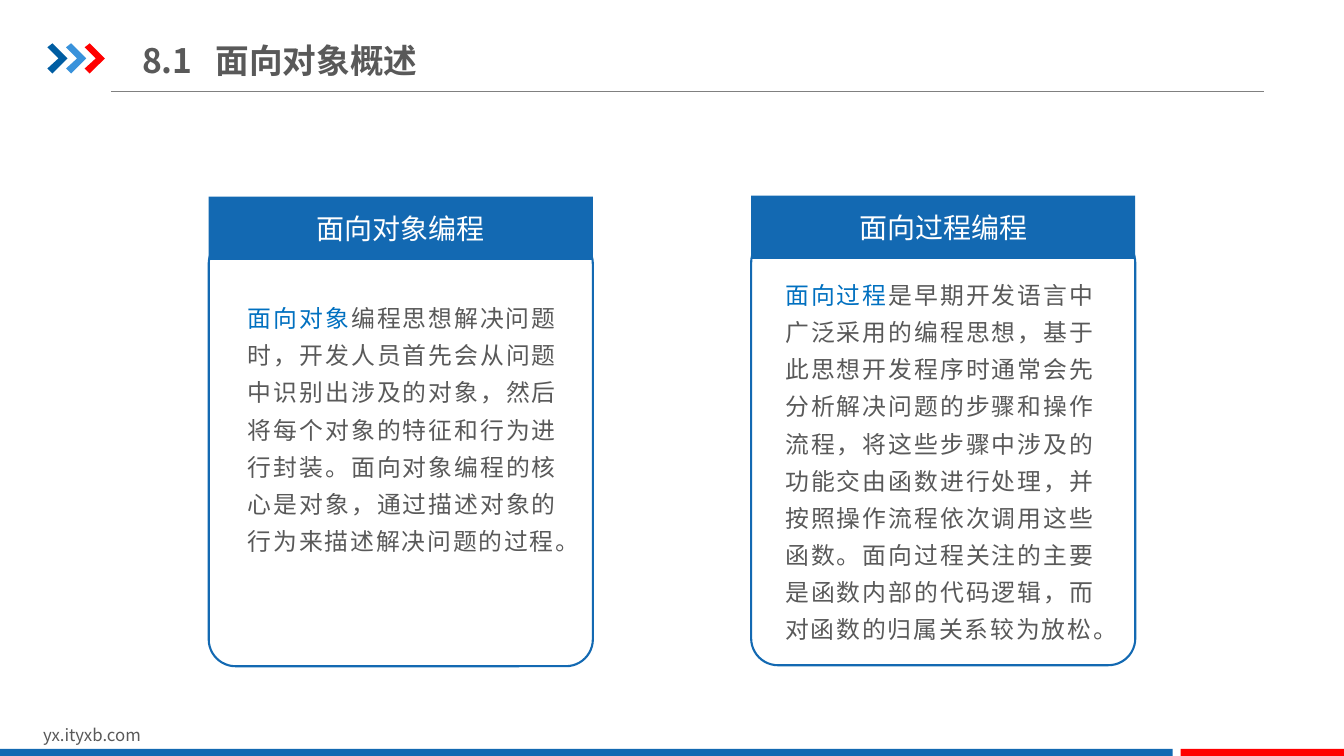
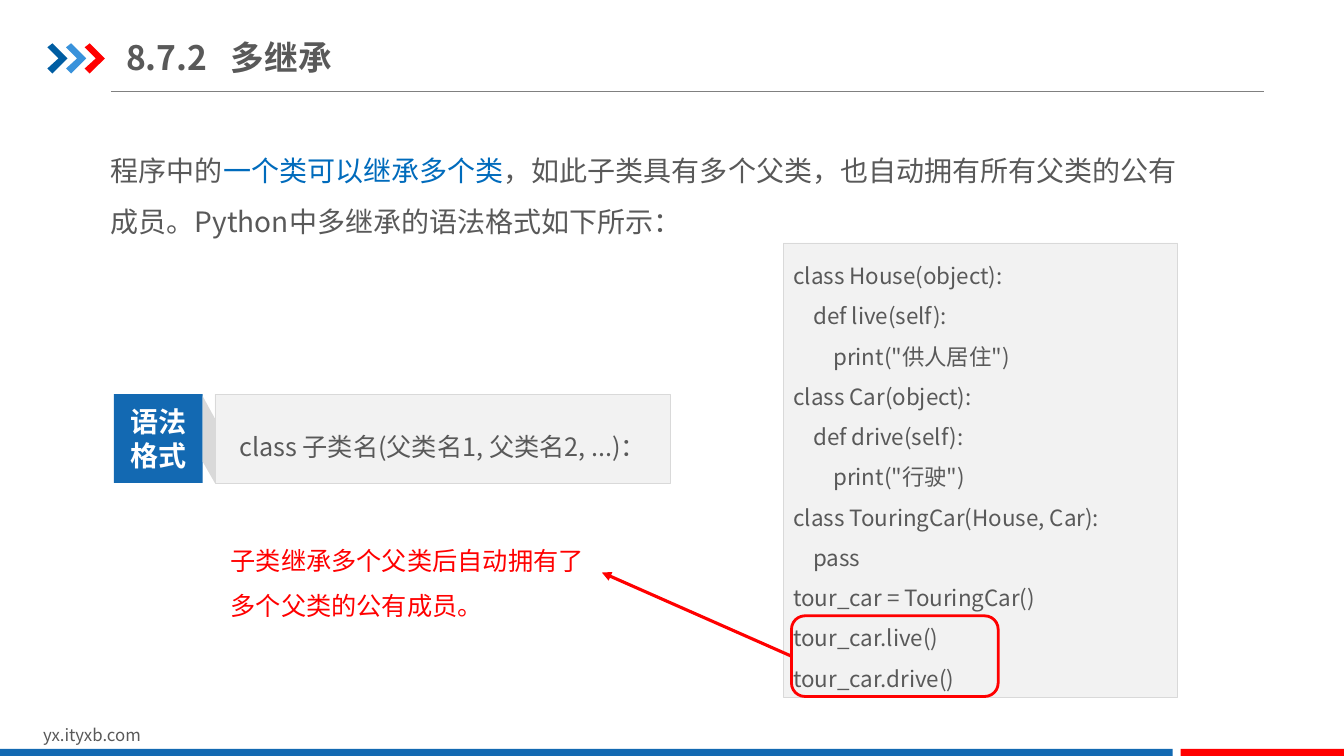
"""Build two slides on object-oriented programming and multiple inheritance."""
from lxml import etree
from pptx import Presentation
from pptx.dml.color import RGBColor
from pptx.enum import shapes, text
from pptx.oxml.ns import qn
from pptx.util import Inches, Pt

FONT = "Noto Sans CJK SC"
BLUE = RGBColor(0x13, 0x69, 0xB2)
NAVY = RGBColor(0x00, 0x5D, 0xA2)
SKY = RGBColor(0x39, 0x92, 0xDB)
ACCENT = RGBColor(0x00, 0x70, 0xC0)
KEYWORD = RGBColor(0x00, 0x6B, 0xBC)
RED = RGBColor(0xFF, 0x00, 0x00)
WHITE = RGBColor(0xFF, 0xFF, 0xFF)
INK = RGBColor(0x59, 0x59, 0x59)
RULE = RGBColor(0x80, 0x80, 0x80)
PALE = RGBColor(0xF2, 0xF2, 0xF2)
EDGE = RGBColor(0xD9, 0xD9, 0xD9)

RECT = shapes.MSO_SHAPE.RECTANGLE
ROUND = shapes.MSO_SHAPE.ROUNDED_RECTANGLE
LEFT, CENTER, JUSTIFY = (text.PP_ALIGN.LEFT, text.PP_ALIGN.CENTER,
                         text.PP_ALIGN.JUSTIFY)
TOP, MIDDLE = text.MSO_ANCHOR.TOP, text.MSO_ANCHOR.MIDDLE

SITE = "yx.ityxb.com"
CHEVRON = [(0, 0.04), (0.05, 0), (0.2, 0.15), (0.05, 0.3), (0, 0.25), (0.11, 0.15)]
FOLD = [(0.12, 0.22), (0.12, 0.86), (0, 0.65), (0, 0)]

CARDS = [
    {"header": "面向对象编程", "at": (2.07, 1.95), "body_at": (2.36, 2.88),
     "body_height": 2.84,
     "body": [("面向对象", ACCENT),
              ("编程思想解决问题时，开发人员首先会从问题中识别出涉及的对象，"
               "然后将每个对象的特征和行为进行封装。面向对象编程的核心是对象，"
               "通过描述对象的行为来描述解决问题的过程。", INK)]},
    {"header": "面向过程编程", "at": (7.45, 1.94), "body_at": (7.69, 2.65),
     "body_height": 3.78,
     "body": [("面向过程", ACCENT),
              ("是早期开发语言中广泛采用的编程思想，基于此思想开发程序时通常会先"
               "分析解决问题的步骤和操作流程，将这些步骤中涉及的功能交由函数进行处理，"
               "并按照操作流程依次调用这些函数。面向过程关注的主要是函数内部的代码逻辑，"
               "而对函数的归属关系较为放松。", INK)]},
]

INTRO = [("程序中的", INK), ("一个类可以继承多个类", KEYWORD),
         ("，如此子类具有多个父类，也自动拥有所有父类的公有成员。"
          "Python中多继承的语法格式如下所示：", INK)]
SYNTAX = "class 子类名(父类名1, 父类名2, ...)："
NOTE = "子类继承多个父类后自动拥有了多个父类的公有成员。"
CODE = [
    "class House(object):",
    "    def live(self):",
    "        print(\"供人居住\")",
    "class Car(object):",
    "    def drive(self):",
    "        print(\"行驶\")",
    "class TouringCar(House, Car):",
    "    pass",
    "tour_car = TouringCar()",
    "tour_car.live()",
    "tour_car.drive()",
]


def box(values):
    return [Inches(v) for v in values]


def write(sp, paragraphs, size, color=INK, align=LEFT, anchor=TOP, spacing=None,
          bold=False, insets=(0.1, 0.05)):
    """Fill a shape with paragraphs, each a string or a list of (text, colour) runs."""
    tf = sp.text_frame
    tf.word_wrap = True
    tf.auto_size = text.MSO_AUTO_SIZE.NONE
    tf.vertical_anchor = anchor
    tf.margin_left = tf.margin_right = Inches(insets[0])
    tf.margin_top = tf.margin_bottom = Inches(insets[1])
    for i, content in enumerate(paragraphs):
        p = tf.add_paragraph() if i else tf.paragraphs[0]
        p.alignment = align
        if spacing:
            p.line_spacing = spacing
        runs = [(content, color)] if isinstance(content, str) else content
        for words, run_color in runs:
            r = p.add_run()
            r.text = words
            r.font.size, r.font.bold, r.font.name = Pt(size), bold, FONT
            r.font.color.rgb = run_color
            etree.SubElement(r._r.get_or_add_rPr(), qn("a:ea"), typeface=FONT)


def paint(sp, fill=None, line=None, width=1):
    sp.shadow.inherit = False
    if fill is None:
        sp.fill.background()
    else:
        sp.fill.solid()
        sp.fill.fore_color.rgb = fill
    if line is None:
        sp.line.fill.background()
    else:
        sp.line.color.rgb = line
        sp.line.width = Pt(width)
    return sp


def add_box(s, kind, at, fill=None, line=None, width=1):
    return paint(s.shapes.add_shape(kind, *box(at)), fill, line, width)


def add_text(s, at, paragraphs, size, **style):
    sp = s.shapes.add_textbox(*box(at))
    write(sp, paragraphs, size, **style)
    return sp


def add_outline(s, left, top, points, fill):
    corners = [(Inches(left + x), Inches(top + y)) for x, y in points]
    builder = s.shapes.build_freeform(*corners[0], scale=1)
    builder.add_line_segments(corners[1:], close=True)
    return paint(builder.convert_to_shape(), fill)


def add_line(s, start, end, color, width):
    cx = s.shapes.add_connector(shapes.MSO_CONNECTOR.STRAIGHT, *box(start + end))
    cx.line.color.rgb = color
    cx.line.width = Pt(width)
    etree.SubElement(cx._element.spPr, qn("a:effectLst"))
    return cx


def move_frame_to_layout(s):
    """Draw the shared frame and hand it over to the slide's layout."""
    parts = [add_line(s, (1.1, 0.91), (12.54, 0.91), RULE, 0.75)]
    for i, color in enumerate((NAVY, SKY, RED)):
        parts.append(add_outline(s, 0.47 + i * 0.37 / 2, 0.43, CHEVRON, color))
    parts.append(add_text(s, (0.33, 7.14, 3.18, 0.3), [SITE], 12))
    for left, width, color in ((0, 11.63, BLUE), (11.71, 1.63, RED)):
        parts.append(add_box(s, RECT, (left, 7.43, width, 0.09), color))
    for part in parts:
        s.slide_layout.shapes.element.append(part._element)


def set_title(s, at, number, words, tab):
    sp = s.shapes.title
    sp.left, sp.top, sp.width, sp.height = box(at)
    pPr = sp.text_frame.paragraphs[0]._p.get_or_add_pPr()
    tabs = etree.SubElement(pPr, qn("a:tabLst"))
    etree.SubElement(tabs, qn("a:tab"), pos=str(Inches(tab)), algn="l")
    write(sp, [f"{number}\t{words}"], 24, anchor=MIDDLE, bold=True, insets=(0, 0.05))


def add_card(s, card):
    left, top = card["at"]
    add_box(s, ROUND, (left, top + 0.4, 3.81, 4.26), line=BLUE,
            width=1.5).adjustments[0] = 0.07
    add_text(s, (*card["body_at"], 3.25, card["body_height"]), [card["body"]], 17,
             align=JUSTIFY, spacing=1.3)
    header = add_box(s, RECT, (left, top, 3.81, 0.63), BLUE)
    write(header, [card["header"]], 20, WHITE, CENTER, MIDDLE)


def build_overview(s):
    set_title(s, (1.41, 0.29, 5.31, 0.61), "8.1", "面向对象概述", 0.73)
    for card in CARDS:
        add_card(s, card)


def build_inheritance(s):
    set_title(s, (1.25, 0.29, 5.02, 0.55), "8.7.2", "多继承", 1.04)
    add_text(s, (1, 1.31, 11.02, 1.1), [INTRO], 20, spacing=1.5)

    syntax = add_box(s, RECT, (2.13, 3.91, 4.52, 0.88), PALE, EDGE, 0.25)
    write(syntax, [SYNTAX], 18, align=CENTER, anchor=MIDDLE, spacing=1.5)
    label = add_box(s, RECT, (1.13, 3.91, 0.88, 0.88), BLUE)
    write(label, ["语法", "格式"], 20, WHITE, CENTER, MIDDLE, bold=True, insets=(0, 0))
    add_outline(s, 2.01, 3.93, FOLD, EDGE)

    code = add_box(s, RECT, (7.77, 2.41, 3.91, 4.51), PALE, EDGE, 0.25)
    write(code, CODE, 16, anchor=MIDDLE, spacing=1.5)
    calls = add_box(s, ROUND, (7.85, 6.11, 2.05, 0.8), line=RED, width=2)
    note = add_text(s, (2.19, 5.21, 3.78, 0.94), [NOTE], 18, color=RED, spacing=1.5)
    arrow = add_line(s, (7.85, 6.51), (5.97, 5.68), RED, 2.25)
    arrow.begin_connect(calls, 1)
    arrow.end_connect(note, 3)
    etree.SubElement(arrow.line._get_or_add_ln(), qn("a:tailEnd"), type="triangle")


def main():
    prs = Presentation()
    prs.slide_width, prs.slide_height = Inches(13.33), Inches(7.5)
    layout = prs.slide_layouts[5]
    overview, inheritance = [prs.slides.add_slide(layout) for _ in range(2)]
    move_frame_to_layout(overview)
    build_overview(overview)
    build_inheritance(inheritance)
    prs.save("out.pptx")


if __name__ == "__main__":
    main()
